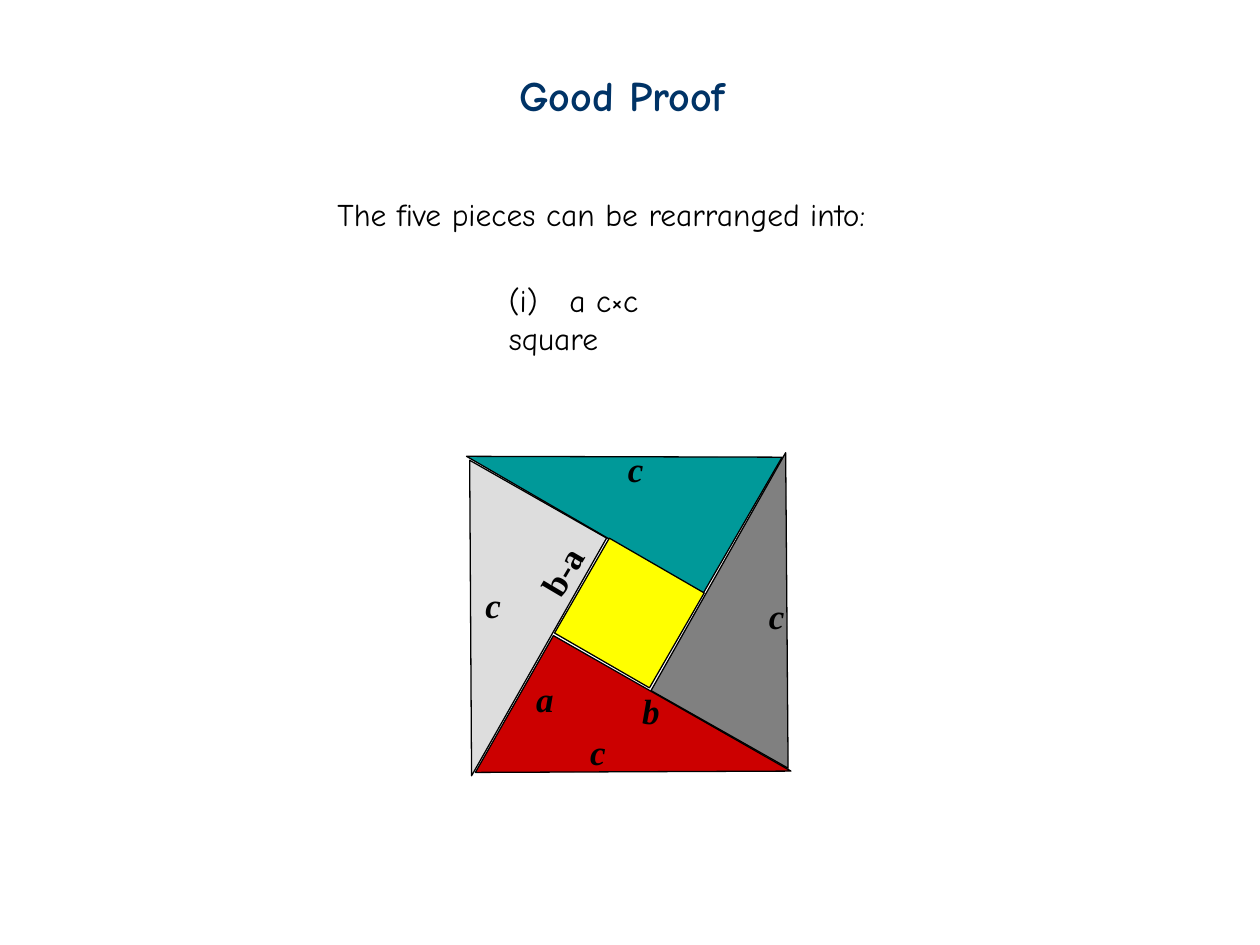
from dataclasses import dataclass

from lxml import etree
from pptx import Presentation
from pptx.dml.color import RGBColor
from pptx.enum.shapes import MSO_SHAPE as Preset
from pptx.enum.text import MSO_ANCHOR as Anchor
from pptx.enum.text import MSO_AUTO_SIZE as AutoSize
from pptx.enum.text import PP_ALIGN as Align
from pptx.oxml.ns import qn
from pptx.util import Inches, Pt


@dataclass(frozen=True)
class Theme:
    body_font: str = "Comic Neue"
    label_font: str = "Times New Roman"
    title_size: int = 24
    body_size: int = 18
    label_size: int = 20
    outline_width: float = 0.75
    navy: str = "003366"
    black: str = "000000"
    gray: str = "808080"
    red: str = "CC0000"
    teal: str = "009999"
    silver: str = "DDDDDD"
    yellow: str = "FFFF00"


THEME = Theme()
TRIANGLE_LEGS = (1.25, 2.17)
SQUARE_SIDE = 0.87
LABEL_HEIGHT = 0.43

TRIANGLES = [
    (5.62, 3.76, 29.5, THEME.gray),
    (4.4, 5.04, 119.7, THEME.red),
    (4.33, 2.54, 300.1, THEME.teal),
    (3.11, 3.82, 209.6, THEME.silver),
]
SIDE_LABELS = [
    ("c", 4.54, 5.75),
    ("c", 5.96, 4.67),
    ("c", 3.71, 4.58),
    ("a", 4.12, 5.33),
    ("b", 4.96, 5.42),
    ("c", 4.84, 3.5),
]


def box(left, top, width, height):
    return [Inches(value) for value in (left, top, width, height)]


def format_text(shape, text, font_name, size, color, bold=False, italic=False,
                align=Align.LEFT, wrap=False):
    frame = shape.text_frame
    frame.text = text
    frame.word_wrap = wrap
    frame.auto_size = AutoSize.SHAPE_TO_FIT_TEXT
    frame.vertical_anchor = Anchor.TOP
    paragraph = frame.paragraphs[0]
    paragraph.alignment = align
    font = paragraph.runs[0].font
    font.name = font_name
    font.size = Pt(size)
    font.color.rgb = RGBColor.from_string(color)
    font.bold = bold
    font.italic = italic


def add_title(slide, text):
    title = slide.shapes.title
    title.left, title.top, title.width, title.height = box(4.02, 0.5, 1.91, 0.49)
    format_text(title, text, THEME.body_font, THEME.title_size, THEME.navy, bold=True)


def add_statement(slide, text, left, top, width, wrap=False):
    shape = slide.shapes.add_textbox(*box(left, top, width, 0.39))
    format_text(shape, text, THEME.body_font, THEME.body_size, THEME.black, wrap=wrap)
    return shape


def add_tab_stop(paragraph, position):
    properties = paragraph._p.get_or_add_pPr()
    tabs = etree.SubElement(properties, qn("a:tabLst"))
    etree.SubElement(tabs, qn("a:tab"), pos=str(Inches(position)), algn="l")


def add_piece(slide, preset, left, top, width, height, rotation, color):
    shape = slide.shapes.add_shape(preset, *box(left, top, width, height))
    shape.rotation = rotation
    shape.shadow.inherit = False
    shape.fill.solid()
    shape.fill.fore_color.rgb = RGBColor.from_string(color)
    shape.line.color.rgb = RGBColor.from_string(THEME.black)
    shape.line.width = Pt(THEME.outline_width)


def add_label(slide, text, left, top, width=0.41, rotation=0, italic=True):
    shape = slide.shapes.add_textbox(*box(left, top, width, LABEL_HEIGHT))
    shape.rotation = rotation
    format_text(shape, text, THEME.label_font, THEME.label_size, THEME.black,
                bold=True, italic=italic, align=Align.CENTER)


def main():
    presentation = Presentation()
    presentation.slide_width = Inches(10)
    presentation.slide_height = Inches(7.5)
    slide = presentation.slides.add_slide(presentation.slide_layouts[5])

    add_title(slide, "Good Proof")
    for left, top, rotation, color in TRIANGLES:
        add_piece(slide, Preset.RIGHT_TRIANGLE, left, top, *TRIANGLE_LEGS, rotation, color)
    for text, left, top in SIDE_LABELS:
        add_label(slide, text, left, top)
    add_piece(slide, Preset.RECTANGLE, 4.56, 4.43, SQUARE_SIDE, SQUARE_SIDE, 30, THEME.yellow)
    add_label(slide, "b-a", 4.16, 4.32, width=0.59, rotation=300.6, italic=False)

    add_statement(slide, "The five pieces can be rearranged into:", 2.58, 1.5, 4.46)
    item = add_statement(slide, "(i)\ta c×c square", 3.94, 2.18, 1.6, wrap=True)
    add_tab_stop(item.text_frame.paragraphs[0], 0.48)

    presentation.save("out.pptx")


if __name__ == "__main__":
    main()
